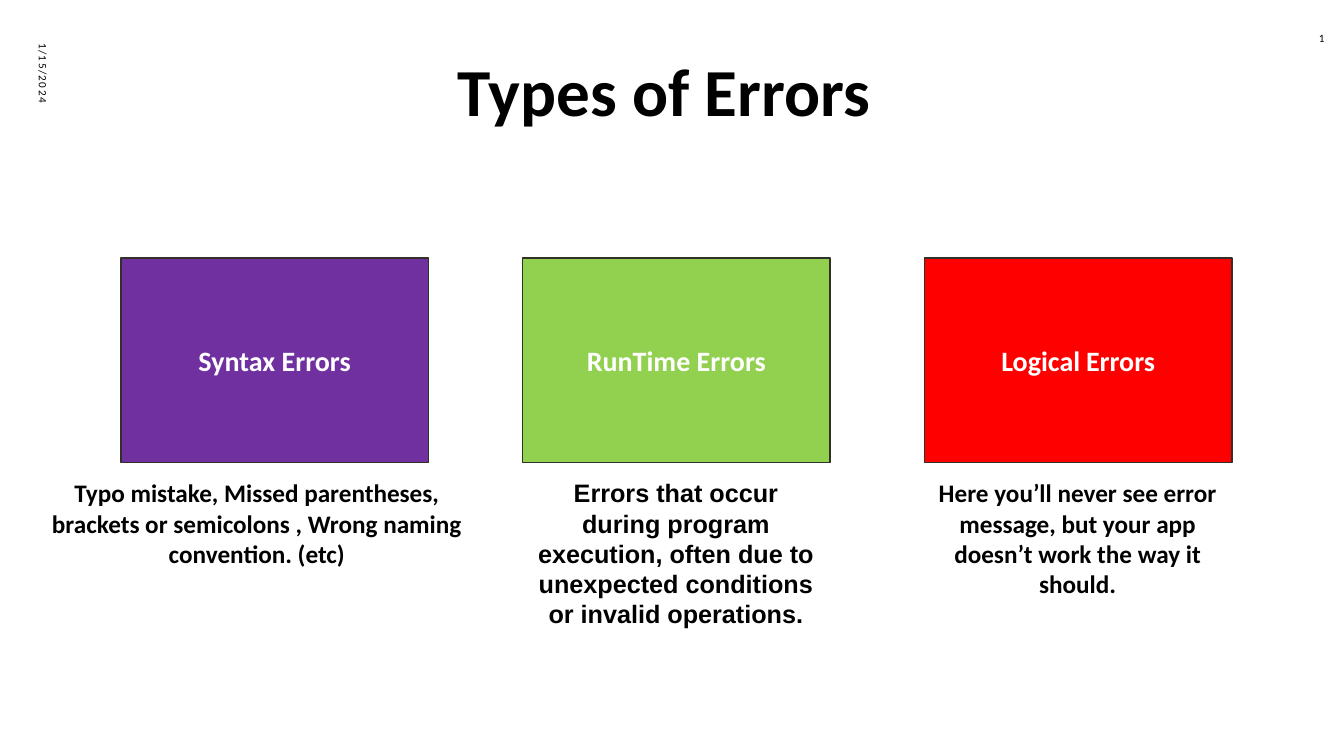
import pptx
import pptx.dml.color
import pptx.enum.shapes
import pptx.enum.text
import pptx.util

Pt = pptx.util.Pt
RGBColor = pptx.dml.color.RGBColor
ALIGN = pptx.enum.text.PP_ALIGN
ANCHOR = pptx.enum.text.MSO_ANCHOR

BLACK = RGBColor(0x00, 0x00, 0x00)
WHITE = RGBColor(0xFF, 0xFF, 0xFF)
PURPLE = RGBColor(0x70, 0x30, 0xA0)
GREEN = RGBColor(0x92, 0xD0, 0x50)
RED = RGBColor(0xFF, 0x00, 0x00)
OUTLINE = RGBColor(0x32, 0x31, 0x27)

TITLE = "Types of Errors "
DATE = "1/15/2024"
NUMBER = "1"

# Card label runs (text, size), fill, description, its font, left, width and height
ERRORS = [
    ([("Syntax Errors", 20)], PURPLE,
     "Typo mistake, Missed parentheses, brackets or semicolons , "
     "Wrong naming convention. (etc)", "Calibri", 24.5, 318, 72.7),
    ([("RunTime Errors", 20)], GREEN,
     "Errors that occur during program execution, often due to "
     "unexpected conditions or invalid operations.", "Arial", 373, 219.6, 116.6),
    ([("Logical", 20), (" ", 18), ("Errors", 20)], RED,
     "Here you’ll never see error message, but your app doesn’t "
     "work the way it should.", "Calibri", 660, 219.6, 94.3),
]

CARD_LEFT, CARD_TOP, CARD_WIDTH, CARD_HEIGHT = 86.4, 184.3, 219.6, 146.2
CARD_STEP = 287
DESCRIPTION_TOP = 337.7


def write(shape, runs, color, align, anchor, font="Calibri", bold=True):
    frame = shape.text_frame
    frame.word_wrap = True
    frame.vertical_anchor = anchor
    para = frame.paragraphs[0]
    para.alignment = align
    for text, size in runs:
        span = para.add_run()
        span.text = text
        span.font.size = Pt(size)
        span.font.name = font
        span.font.bold = bold
        span.font.color.rgb = color
    return para


def add_text(slide, bounds, runs, align, anchor, **style):
    box = slide.shapes.add_textbox(*map(Pt, bounds))
    write(box, runs, BLACK, align, anchor, **style)
    return box


def add_small_text(slide, bounds, text, align):
    """Add a letter-spaced date or page number."""
    box = add_text(slide, bounds, [(text, 8)], align, ANCHOR.MIDDLE, bold=False)
    para = box.text_frame.paragraphs[0]
    para.space_after = Pt(6)
    para.runs[0].font._element.set("spc", "100")
    return box


def add_card(slide, left, runs, fill):
    card = slide.shapes.add_shape(
        pptx.enum.shapes.MSO_SHAPE.RECTANGLE,
        Pt(left), Pt(CARD_TOP), Pt(CARD_WIDTH), Pt(CARD_HEIGHT))
    card.shadow.inherit = False
    card.fill.solid()
    card.fill.fore_color.rgb = fill
    card.line.color.rgb = OUTLINE
    card.line.width = Pt(1)
    write(card, runs, WHITE, ALIGN.CENTER, ANCHOR.MIDDLE)


def main():
    deck = pptx.Presentation()
    deck.slide_width, deck.slide_height = Pt(960), Pt(540)
    slide = deck.slides.add_slide(deck.slide_layouts[6])

    add_text(slide, (65.5, 23.8, 828.7, 72.7), [(TITLE, 48)],
             ALIGN.CENTER, ANCHOR.BOTTOM)
    date = add_small_text(slide, (-79.2, 119.5, 220.3, 28.8), DATE, ALIGN.LEFT)
    date.rotation = 90
    add_small_text(slide, (894.2, 9.4, 59, 35.3), NUMBER, ALIGN.RIGHT)

    for index, (label, fill, about, font, left, width, height) in enumerate(ERRORS):
        add_card(slide, CARD_LEFT + index * CARD_STEP, label, fill)
        box = add_text(slide, (left, DESCRIPTION_TOP, width, height), [(about, 18)],
                       ALIGN.CENTER, ANCHOR.TOP, font=font)
        box.text_frame.auto_size = pptx.enum.text.MSO_AUTO_SIZE.SHAPE_TO_FIT_TEXT

    deck.save("out.pptx")


if __name__ == "__main__":
    main()
